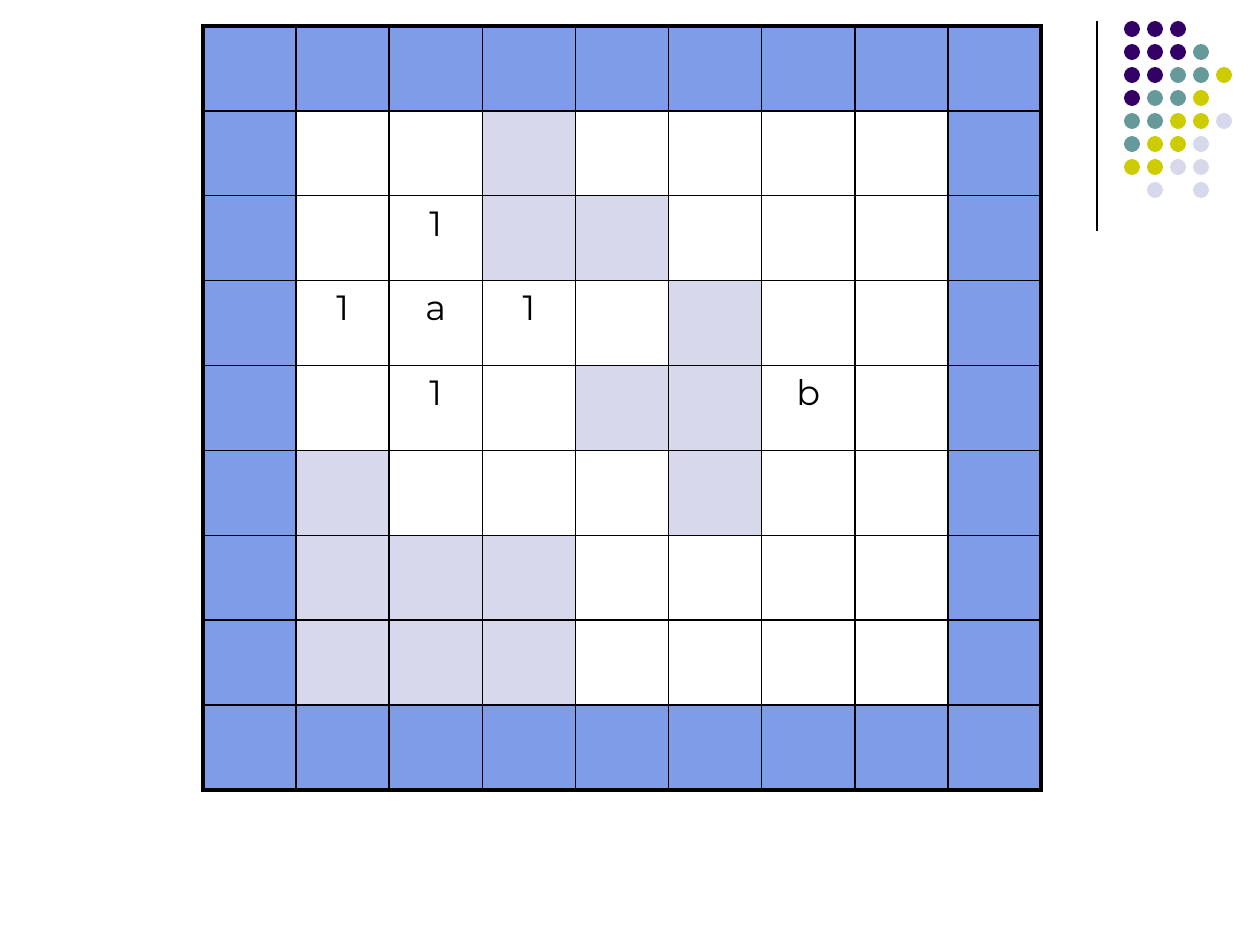
from lxml.etree import SubElement as Sub
from pptx import Presentation
from pptx.dml.color import RGBColor
from pptx.enum.shapes import MSO_CONNECTOR as Conn, MSO_SHAPE as Shape
from pptx.enum.text import PP_ALIGN as Align
from pptx.oxml.ns import qn
from pptx.util import Pt

GRID = [
    "#########",
    "#..x....#",
    "#..xx...#",
    "#....x..#",
    "#...xx..#",
    "#x...x..#",
    "#xxx....#",
    "#xxx....#",
    "#########",
]
MARKS = {(2, 2): "1", (3, 1): "1", (3, 2): "a", (3, 3): "1", (4, 2): "1", (4, 6): "b"}
FILLS = {"#": "7E9CE8", ".": "FFFFFF", "x": "D8D8EC"}

DOTS = ["PPP", "PPPT", "PPTTY", "PTTY", "TTYYL", "TYYL", "YYLL", " L L"]
HUES = {"P": "330066", "T": "669999", "Y": "CCCC00", "L": "D8D8EC"}
BLACK = "000000"


def px(n):
    return round(n * 914400 / 126)


def paint(fill, hue):
    fill.solid()
    fill.fore_color.rgb = RGBColor.from_string(hue)


def write(frame, text, size=20, font="Montserrat", hue=BLACK, align=Align.CENTER):
    para = frame.paragraphs[0]
    para.alignment = align
    run = para.add_run()
    run.text = text
    run.font.size = Pt(size)
    run.font.name = font
    paint(run.font.fill, hue)


def edge(cell, side, width, hue=BLACK):
    line = Sub(cell._tc.get_or_add_tcPr(), qn("a:ln" + side), w=str(Pt(width)))
    Sub(Sub(line, qn("a:solidFill")), qn("a:srgbClr"), val=hue)


def draw_rule(slide, x, top, end):
    rule = slide.shapes.add_connector(Conn.STRAIGHT, px(x), px(top), px(x), px(end))
    paint(rule.line.fill, BLACK)
    rule.line.width = Pt(0.75)
    Sub(rule._element.spPr, qn("a:effectLst"))


def draw_dots(slide, left, top, step, size):
    group = slide.shapes.add_group_shape()
    for r, row in enumerate(DOTS):
        for c, key in enumerate(row):
            if key in HUES:
                dot = group.shapes.add_shape(
                    Shape.OVAL, px(left + c * step), px(top + r * step), px(size), px(size))
                dot.shadow.inherit = False
                paint(dot.fill, HUES[key])
                dot.line.fill.background()


def draw_grid(slide, left, top, width, height):
    rows, cols = len(GRID), len(GRID[0])
    frame = slide.shapes.add_table(rows, cols, px(left), px(top), px(width), px(height))
    table = frame.table
    table.first_row = table.horz_banding = False
    for r, row in enumerate(GRID):
        for c, key in enumerate(row):
            cell = table.cell(r, c)
            outer = {"L": c == 0, "R": c == cols - 1, "T": r == 0, "B": r == rows - 1}
            for side, thick in outer.items():
                edge(cell, side, 2.25 if thick else 1)
            paint(cell.fill, FILLS[key])
            if (r, c) in MARKS:
                write(cell.text_frame, MARKS[r, c])


def main():
    deck = Presentation()
    deck.slide_width, deck.slide_height = px(1260), px(945)
    slide = deck.slides.add_slide(deck.slide_layouts[6])
    draw_rule(slide, 1097, 21, 231)
    draw_dots(slide, 1124, 21, 23, 16)
    draw_grid(slide, 203, 26, 838, 764)
    deck.save("out.pptx")


if __name__ == "__main__":
    main()
